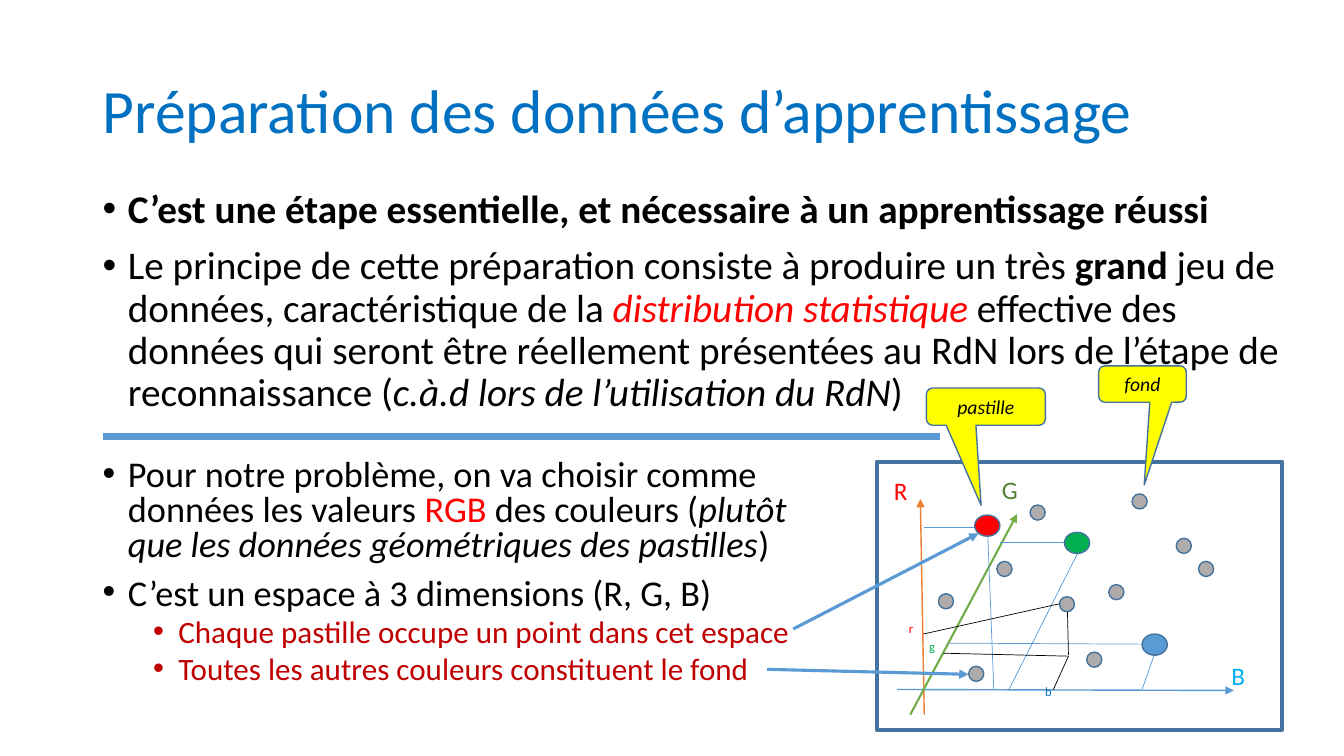
from dataclasses import dataclass
from typing import NamedTuple

from lxml.etree import SubElement
from pptx import Presentation
from pptx.dml.color import RGBColor
from pptx.enum.shapes import MSO_CONNECTOR, MSO_SHAPE
from pptx.enum.text import MSO_ANCHOR, MSO_AUTO_SIZE, PP_ALIGN
from pptx.oxml.ns import qn
from pptx.util import Pt


@dataclass(frozen=True)
class Theme:
    font: str = "Calibri"
    ink: str = "000000"
    title: str = "0070C0"
    red: str = "FF0000"
    dark_red: str = "C00000"
    green: str = "00B050"
    moss: str = "548235"
    sky: str = "00B0F0"
    blue: str = "5B9BD5"
    edge: str = "43739E"
    orange: str = "ED7D31"
    leaf: str = "70AD47"
    grey: str = "AFABAB"
    yellow: str = "FFFF00"
    head_size: float = 44
    main_size: float = 28
    list_size: float = 25.9
    sub_size: float = 22.2
    axis_size: float = 18
    call_size: float = 14
    mark_size: float = 9


class Box(NamedTuple):
    left: float
    top: float
    width: float
    height: float


class Span(NamedTuple):
    text: str
    color: str | None = None
    bold: bool | None = None
    slant: bool | None = None


class Item(NamedTuple):
    spans: list[Span]
    size: float
    color: str
    level: int = 0
    bold: bool | None = None


class Line(NamedTuple):
    start: tuple[float, float]
    end: tuple[float, float]
    color: str
    width: float
    arrow: bool = False


class Dot(NamedTuple):
    box: Box
    color: str


class Label(NamedTuple):
    text: str
    box: Box
    color: str
    size: float


class Callout(NamedTuple):
    text: str
    box: Box
    tip: tuple[float, float]


T = Theme()
deck = Presentation()
deck.slide_width, deck.slide_height = Pt(960), Pt(540)
slide = deck.slides.add_slide(deck.slide_layouts[3])


def points(box: Box) -> list[Pt]:
    return [Pt(side) for side in box]


def place(shape, box: Box) -> None:
    shape.left, shape.top, shape.width, shape.height = points(box)


def style(font, size: float, color: str) -> None:
    font.name, font.size = T.font, Pt(size)
    font.color.rgb = RGBColor.from_string(color)


def add_list(holder, box: Box, items: list[Item], pitch: float) -> None:
    place(holder, box)
    frame = holder.text_frame
    frame.auto_size = MSO_AUTO_SIZE.NONE
    for spot, item in enumerate(items):
        para = frame.add_paragraph() if spot else frame.paragraphs[0]
        para.level = item.level
        props = para._p.get_or_add_pPr()
        props.set("marL", str(Pt(18 + 36 * item.level)))
        props.set("indent", str(Pt(-18)))
        SubElement(props, qn("a:buFont"), typeface="Arial")
        SubElement(props, qn("a:buChar"), char="•")
        para.line_spacing = pitch
        para.space_before = Pt(5 if item.level else 10)
        para.space_after = Pt(0)
        style(para.font, item.size, item.color)
        para.font.bold = item.bold
        for span in item.spans:
            run = para.add_run()
            run.text = span.text
            run.font.bold, run.font.italic = span.bold, span.slant
            if span.color:
                run.font.color.rgb = RGBColor.from_string(span.color)


def add_line(line: Line) -> None:
    link = slide.shapes.add_connector(
        MSO_CONNECTOR.STRAIGHT, *points(line.start + line.end))
    link.line.color.rgb = RGBColor.from_string(line.color)
    link.line.width = Pt(line.width)
    if line.arrow:
        SubElement(link.line._get_or_add_ln(), qn("a:tailEnd"), type="triangle")
    SubElement(link._element.spPr, qn("a:effectLst"))


def add_form(kind: MSO_SHAPE, box: Box, fill: str | None, width: float = 1):
    shape = slide.shapes.add_shape(kind, *points(box))
    shape.shadow.inherit = False
    if fill:
        shape.fill.solid()
        shape.fill.fore_color.rgb = RGBColor.from_string(fill)
    else:
        shape.fill.background()
    shape.line.color.rgb = RGBColor.from_string(T.edge)
    shape.line.width = Pt(width)
    return shape


def add_label(label: Label) -> None:
    para = slide.shapes.add_textbox(*points(label.box)).text_frame.paragraphs[0]
    para.text = label.text
    style(para.font, label.size, label.color)


def add_callout(call: Callout) -> None:
    shape = add_form(MSO_SHAPE.ROUNDED_RECTANGULAR_CALLOUT, call.box, T.yellow)
    shape.adjustments[0], shape.adjustments[1] = call.tip
    frame = shape.text_frame
    frame.vertical_anchor = MSO_ANCHOR.MIDDLE
    para = frame.paragraphs[0]
    para.text, para.alignment = call.text, PP_ALIGN.CENTER
    style(para.font, T.call_size, T.ink)
    para.font.italic = True


title, main, detail = slide.placeholders
place(title, Box(66.2, 28.8, 828, 104.4))
title.text_frame.auto_size = MSO_AUTO_SIZE.NONE
title.text_frame.vertical_anchor = MSO_ANCHOR.MIDDLE
head = title.text_frame.paragraphs[0]
head.text = "Préparation des données d’apprentissage"
head.alignment, head.line_spacing = PP_ALIGN.LEFT, 0.9
style(head.font, T.head_size, T.title)

add_list(main, Box(66.2, 131.8, 869, 183.6), [
    Item([Span("C’est une étape essentielle, et nécessaire à un apprentissage réussi")],
         T.main_size, T.ink, bold=True),
    Item([Span("Le principe de cette préparation consiste à produire un très "),
          Span("grand", bold=True),
          Span(" jeu de données, caractéristique de la "),
          Span("distribution statistique ", T.red, slant=True),
          Span("effective des données qui seront être réellement présentées "
               "au RdN lors de l’étape de reconnaissance ("),
          Span("c.à.d lors de l’utilisation du RdN", slant=True),
          Span(")")], T.main_size, T.ink),
], 0.9)
add_list(detail, Box(66.2, 324.7, 541.4, 177.8), [
    Item([Span("Pour notre problème, on va choisir comme données les valeurs "),
          Span("RGB", T.red),
          Span(" des couleurs ("),
          Span("plutôt que les données géométriques des pastilles", slant=True),
          Span(")")], T.list_size, T.ink),
    Item([Span("C’est un espace à 3 dimensions (R, G, B)")], T.list_size, T.ink),
    Item([Span("Chaque pastille occupe un point dans cet espace")],
         T.sub_size, T.dark_red, 1),
    Item([Span("Toutes les autres couleurs constituent le fond")],
         T.sub_size, T.dark_red, 1),
], 0.8)

axes = [
    Line((660.2, 510.5), (657.4, 356.4), T.orange, 1, True),
    Line((640.8, 492.5), (881.3, 493.2), T.blue, 1, True),
    Line((650.2, 510.5), (726.5, 367.2), T.leaf, 1.5, True),
]
guides = [Line(start, end, T.blue, 0.5) for start, end in [
    ((696.2, 376.6), (660.2, 376.6)), ((705.6, 383), (709.9, 492.5)),
    ((815.8, 460.1), (676.8, 459.4)), ((760.3, 387.4), (714.2, 387.4)),
    ((769.7, 395.3), (720.7, 492.5)), ((824.4, 468), (815.8, 492.5))]]
traces = [Line(start, end, T.ink, 0.5) for start, end in [
    ((763.2, 468.7), (752.4, 492.5)), ((756.7, 431.3), (659.5, 452.9)),
    ((762.5, 437), (763.2, 468)), ((763.2, 468.7), (673.9, 466.6))]]
links = [
    Line((566.6, 449.3), (699.1, 380.9), T.blue, 2.25, True),
    Line((547.9, 478.1), (691.9, 481.7), T.blue, 2.25, True),
    Line((73.4, 311.8), (671.8, 311.8), T.blue, 4.5),
]
discs = [Dot(Box(left, top, 18, 15.1), color) for left, top, color in [
    (815.8, 452.9, T.blue), (696.2, 367.9, T.red), (760.3, 380.2, T.green)]]
specks = [Dot(Box(left, top, 10.8, 10.8), T.grey) for left, top in [
    (840.2, 384.5), (856.1, 401), (792, 417.6), (808.6, 352.8), (756.7, 426.2),
    (776.2, 465.8), (712.1, 401), (735.8, 360.7), (670.3, 424.1), (691.9, 475.9)]]
labels = [
    Label("R", Box(631.4, 336.2, 33.8, 40.3), T.red, T.axis_size),
    Label("G", Box(708.5, 335.5, 36, 40.3), T.moss, T.axis_size),
    Label("B", Box(872.6, 468, 33.8, 40.3), T.sky, T.axis_size),
    Label("r", Box(642.2, 439.9, 24.5, 25.2), T.red, T.mark_size),
    Label("b", Box(739.4, 485.3, 26.6, 25.2), T.title, T.mark_size),
    Label("g", Box(656.6, 452.9, 25.9, 25.2), T.green, T.mark_size),
]
calls = [
    Callout("pastille", Box(661.7, 277.2, 85, 26.6), (-0.04, 2.65)),
    Callout("fond", Box(784.8, 261.4, 62.6, 25.9), (0.02, 2.78)),
]

add_form(MSO_SHAPE.RECTANGLE, Box(626.4, 329.8, 289.4, 191.5), None, 3)
for line in axes + guides:
    add_line(line)
for dot in discs + specks:
    add_form(MSO_SHAPE.OVAL, dot.box, dot.color)
for line in traces:
    add_line(line)
for label in labels:
    add_label(label)
for call in calls:
    add_callout(call)
for line in links:
    add_line(line)

deck.save("out.pptx")
